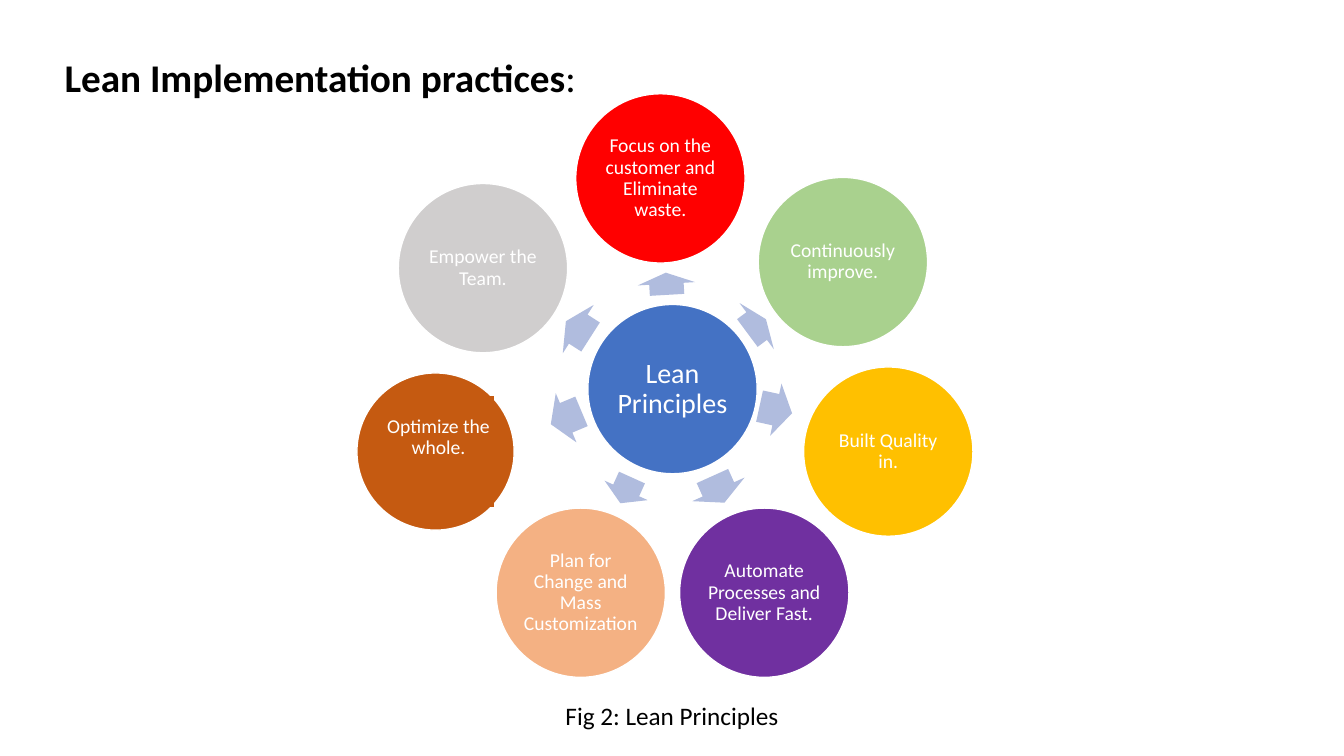
import pptx
import pptx.util
import pptx.dml.color
import pptx.enum.shapes
import pptx.enum.text
from pptx.util import Inches

SHAPE = pptx.enum.shapes.MSO_SHAPE
ALIGN = pptx.enum.text.PP_ALIGN
MIDDLE = pptx.enum.text.MSO_ANCHOR.MIDDLE
DIAMETER = 1.68
WHITE, BLACK, ARROW = "FFFFFF", "000000", "B0BCDE"

# Left, top, fill, text of each principle
PRINCIPLES = [
    (5.71, 0.93, "FF0000", "Focus on the customer and Eliminate waste."),
    (7.52, 1.76, "A9D18E", "Continuously improve."),
    (7.97, 3.64, "FFC000", "Built Quality in."),
    (6.74, 5.04, "7030A0", "Automate Processes and Deliver Fast."),
    (4.92, 5.04, "F4B183", "Plan for Change and Mass Customization"),
    (3.95, 1.82, "D0CECE", "Empower the Team."),
]

# Left, top, width, height, rotation of each arrow
ARROWS = [
    (6.5, 2.53, 0.22, 0.57, 266.7),
    (7.39, 2.95, 0.23, 0.57, 323.4),
    (7.53, 3.8, 0.33, 0.53, 12.3),
    (6.98, 4.57, 0.29, 0.57, 65.7),
    (6.07, 4.63, 0.28, 0.47, 114.3),
    (5.45, 3.88, 0.33, 0.53, 157.2),
    (5.59, 2.98, 0.29, 0.57, 212.6),
]


def rgb(color):
    return pptx.dml.color.RGBColor.from_string(color)


def add_run(p, text, size, color, bold=False):
    r = p.add_run()
    r.text = text
    formats = {"name": "Calibri", "size": pptx.util.Pt(size), "bold": bold}
    for name, value in formats.items():
        setattr(r.font, name, value)
    r.font.color.rgb = rgb(color)


def add_filled(s, kind, left, top, width, height, fill, line=None):
    sp = s.shapes.add_shape(kind, Inches(left), Inches(top),
                            Inches(width), Inches(height))
    sp.shadow.inherit = False
    sp.fill.solid()
    sp.fill.fore_color.rgb = rgb(fill)
    if line:
        sp.line.color.rgb = rgb(line)
        sp.line.width = pptx.util.Pt(1)
    else:
        sp.line.fill.background()
    return sp


def add_label(sp, text, size=14, inset=0.02, bottom=0.02):
    tf = sp.text_frame
    formats = {"word_wrap": True, "vertical_anchor": MIDDLE,
               "margin_left": Inches(inset), "margin_right": Inches(inset),
               "margin_top": Inches(inset), "margin_bottom": Inches(bottom)}
    for name, value in formats.items():
        setattr(tf, name, value)
    p = tf.paragraphs[0]
    p.alignment = ALIGN.CENTER
    p.line_spacing = 0.9
    add_run(p, text, size, WHITE)


def add_circle(s, left, top, fill, diameter=DIAMETER):
    return add_filled(s, SHAPE.OVAL, left, top, diameter, diameter, fill, WHITE)


def add_arrow(s, left, top, width, height, rotation):
    sp = add_filled(s, SHAPE.RIGHT_ARROW, left, top, width, height, ARROW)
    sp.adjustments[0] = 0.6
    sp.adjustments[1] = 0.5
    sp.rotation = rotation


def set_title(s):
    sp = s.shapes.title
    formats = {"left": 0.54, "top": 0.08, "width": 5.75, "height": 1.42}
    for name, value in formats.items():
        setattr(sp, name, Inches(value))
    tf = sp.text_frame
    tf.auto_size = pptx.enum.text.MSO_AUTO_SIZE.NONE
    tf.vertical_anchor = MIDDLE
    p = tf.paragraphs[0]
    p.alignment = ALIGN.LEFT
    p.line_spacing = 0.9
    add_run(p, "Lean Implementation practices", 28, BLACK, bold=True)
    add_run(p, ":", 28, BLACK)


def add_caption(s, text):
    tf = s.shapes.add_textbox(Inches(3.96), Inches(6.9),
                              Inches(5.41), Inches(0.4)).text_frame
    tf.word_wrap = True
    p = tf.paragraphs[0]
    p.alignment = ALIGN.CENTER
    add_run(p, text, 18, BLACK)


def main():
    prs = pptx.Presentation()
    prs.slide_width, prs.slide_height = Inches(13.33), Inches(7.5)
    s = prs.slides.add_slide(prs.slide_layouts[5])
    set_title(s)

    # Hub and arrows
    add_label(add_circle(s, 5.83, 3.02, "4472C4"), "Lean Principles",
              size=20, inset=0.03, bottom=0.03)
    for arrow in ARROWS:
        add_arrow(s, *arrow)

    # Ring of principles
    for left, top, fill, text in PRINCIPLES:
        add_label(add_circle(s, left, top, fill), text)

    # Smaller circle with an offset label panel
    add_circle(s, 3.54, 3.7, "C55A11", diameter=1.56)
    panel = add_filled(s, SHAPE.RECTANGLE, 3.8, 3.93, 1.1, 1.1, "C55A11")
    add_label(panel, "Optimize the whole.", bottom=0.29)

    add_caption(s, "Fig 2: Lean Principles")
    prs.save("out.pptx")


if __name__ == "__main__":
    main()
